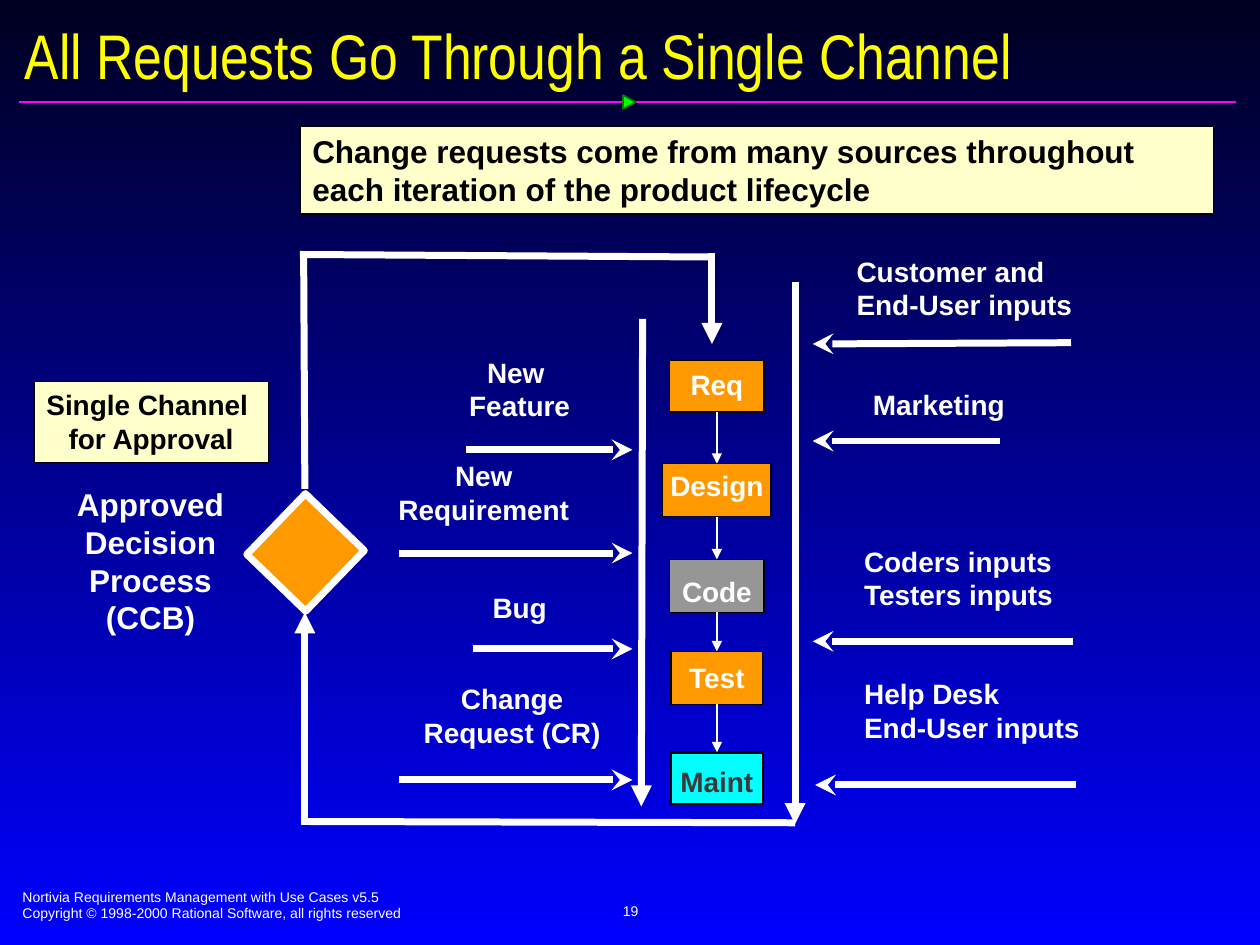
from lxml import etree
from pptx import Presentation
from pptx.dml.color import RGBColor
from pptx.enum.shapes import MSO_CONNECTOR, MSO_SHAPE
from pptx.enum.text import MSO_ANCHOR, PP_ALIGN
from pptx.oxml.ns import qn
from pptx.util import Inches, Pt

LEFT, CENTER = PP_ALIGN.LEFT, PP_ALIGN.CENTER
TOP, MIDDLE = MSO_ANCHOR.TOP, MSO_ANCHOR.MIDDLE
RECTANGLE, TRIANGLE = MSO_SHAPE.RECTANGLE, MSO_SHAPE.ISOSCELES_TRIANGLE
STRAIGHT = MSO_CONNECTOR.STRAIGHT
BOTTOM_SIDE, TOP_SIDE = 2, 0

WHITE, BLACK, YELLOW, CREAM = "FFFFFF", "000000", "FFFF00", "FFFFCC"
ORANGE, GRAY, CYAN, DARK = "FF9900", "969696", "00FFFF", "393939"
MAGENTA, GREEN, DARK_GREEN = "FF01FF", "00FF00", "037C03"
NIGHT, BLUE = "000021", "0000FF"

# "\n" starts a paragraph, "\v" breaks a line
TITLE = "All Requests Go Through a Single Channel"
FOOTER = ("Nortivia Requirements Management with Use Cases v5.5\n"
          "Copyright © 1998-2000 Rational Software, all rights reserved")
PAGE = "19"
SUMMARY = ("Change requests come from many sources throughout "
           "each iteration of the product lifecycle")
APPROVAL = "Single Channel \nfor Approval"
BOARD = "Approved\vDecision\vProcess\n(CCB)"

# name, top, width, height, text offset, fill, text colour, border width
STAGES = [
    ("Req", 2.86, 0.75, 0.41, 0.06, ORANGE, WHITE, 0.75),
    ("Design", 3.68, 0.86, 0.42, 0.04, ORANGE, WHITE, 0.75),
    ("Code", 4.44, 0.75, 0.42, 0.12, GRAY, WHITE, 0.75),
    ("Test", 5.17, 0.73, 0.42, 0.07, ORANGE, WHITE, 0.75),
    ("Maint", 5.97, 0.73, 0.41, 0.1, CYAN, DARK, 1.5),
]
STAGE_CENTER = 5.69

# text, label box (left, top, width, height), arrow start x, arrow y
REQUESTS = [
    ("New \vFeature", (3.36, 2.77, 1.53, 0.63), 3.7, 3.57),
    ("New\nRequirement", (2.64, 3.59, 2.4, 0.63), 3.17, 4.39),
    ("Bug", (3.66, 4.64, 0.93, 0.37), 3.75, 5.15),
    ("Change\vRequest (CR)", (2.96, 5.36, 2.21, 0.63), 3.17, 6.19),
]
REQUEST_END = 5.02

# text, label box, arrow start, arrow end
INPUTS = [
    ("Customer and\vEnd-User inputs", (6.7, 1.97, 1.91, 0.63), (8.5, 2.72), (6.45, 2.73)),
    ("Marketing", (6.83, 3.03, 1.9, 0.37), (7.94, 3.5), (6.45, 3.5)),
    ("Coders inputs\nTesters inputs", (6.76, 4.27, 2.6, 0.63), (8.52, 5.09), (6.45, 5.09)),
    ("Help Desk\nEnd-User inputs", (6.76, 5.32, 2.55, 0.63), (8.54, 6.23), (6.47, 6.23)),
]

# start, end, arrowhead
CHANNEL = [
    ((6.31, 6.53), (2.39, 6.52), None),
    ((2.42, 6.54), (2.42, 4.86), "triangle"),
    ((2.42, 3.88), (2.41, 2.03), None),
    ((2.38, 2.02), (5.65, 2.04), None),
    ((5.65, 2.01), (5.65, 2.73), "triangle"),
    ((5.1, 2.53), (5.09, 6.4), "triangle"),
    ((6.31, 2.24), (6.31, 6.54), "triangle"),
]

prs = Presentation()
prs.slide_width, prs.slide_height = Inches(10), Inches(7.5)
slide = prs.slides.add_slide(prs.slide_layouts[6])
shapes = slide.shapes


def color(hex_string):
    return RGBColor.from_string(hex_string)


def write(shape, text, size=16, font="Arial", ink=WHITE, bold=True, align=LEFT,
          anchor=TOP, wrap=True, insets=(0.1, 0.05, 0.1, 0.05)):
    frame = shape.text_frame
    frame.word_wrap = wrap
    frame.vertical_anchor = anchor
    (frame.margin_left, frame.margin_top,
     frame.margin_right, frame.margin_bottom) = map(Inches, insets)
    frame.text = text
    for paragraph in frame.paragraphs:
        paragraph.alignment = align
        for run in paragraph.runs:
            run.font.size, run.font.name, run.font.bold = Pt(size), font, bold
            run.font.color.rgb = color(ink)


def label(text, box, **style):
    write(shapes.add_textbox(*map(Inches, box)), text, **style)


def block(box, fill, border, width=0.75, preset=RECTANGLE, rotation=0):
    shape = shapes.add_shape(preset, *map(Inches, box))
    shape.shadow.inherit = False
    shape.rotation = rotation
    shape.fill.solid()
    shape.fill.fore_color.rgb = color(fill)
    shape.line.color.rgb = color(border)
    shape.line.width = Pt(width)
    return shape


def line(start, end, ink=WHITE, width=4, arrow=None):
    connector = shapes.add_connector(STRAIGHT, *map(Inches, (*start, *end)))
    connector.line.color.rgb = color(ink)
    connector.line.width = Pt(width)
    properties = connector._element.spPr
    if arrow:
        etree.SubElement(properties.find(qn("a:ln")), qn("a:tailEnd"), type=arrow)
    etree.SubElement(properties, qn("a:effectLst"))
    return connector


background = slide.background.fill
background.gradient()
background.gradient_angle = 270
for stop, (position, shade) in zip(background.gradient_stops, [(0, NIGHT), (1, BLUE)]):
    stop.position = position
    stop.color.rgb = color(shade)

label(FOOTER, (0.08, 7, 5.1, 0.37), size=8, bold=False)
label(PAGE, (3.42, 6.98, 3.17, 0.5), size=8, bold=False, align=CENTER, anchor=MIDDLE)
line((0.15, 0.81), (9.81, 0.81), ink=MAGENTA, width=1)
block((4.94, 0.76, 0.11, 0.1), GREEN, DARK_GREEN, width=1, preset=TRIANGLE, rotation=90)
label(TITLE, (0.1, 0.14, 9.84, 0.58), size=36, font="Arial Narrow", ink=YELLOW,
      bold=False, anchor=MIDDLE)
write(block((2.38, 1, 7.25, 0.7), CREAM, BLACK), SUMMARY, size=18, ink=BLACK)
write(block((0.27, 3.03, 1.86, 0.64), CREAM, BLACK), APPROVAL, ink=BLACK,
      align=CENTER, wrap=False)

label(BOARD, (0.51, 3.8, 1.37, 1.3), size=18, align=CENTER, wrap=False)
block((2.1, 4.05, 0.65, 0.67), ORANGE, WHITE, width=4, rotation=44)
for start, end, arrow in CHANNEL:
    line(start, end, arrow=arrow)

for text, box, start_x, y in REQUESTS:
    label(text, box, align=CENTER)
    line((start_x, y), (REQUEST_END, y), arrow="stealth")

for text, box, start, end in INPUTS:
    label(text, box)
    line(start, end, arrow="stealth")

stage_blocks = []
for name, top, width, height, offset, fill, ink, border_width in STAGES:
    stage = block((STAGE_CENTER - width / 2, top, width, height), fill, BLACK, border_width)
    write(stage, name, ink=ink, align=CENTER, wrap=False, insets=(0, offset, 0, 0))
    stage_blocks.append(stage)

for upper, lower in zip(stage_blocks, stage_blocks[1:]):
    link = line((0, 0), (0, 0), width=0.75, arrow="triangle")
    link.begin_connect(upper, BOTTOM_SIDE)
    link.end_connect(lower, TOP_SIDE)

prs.save("out.pptx")
